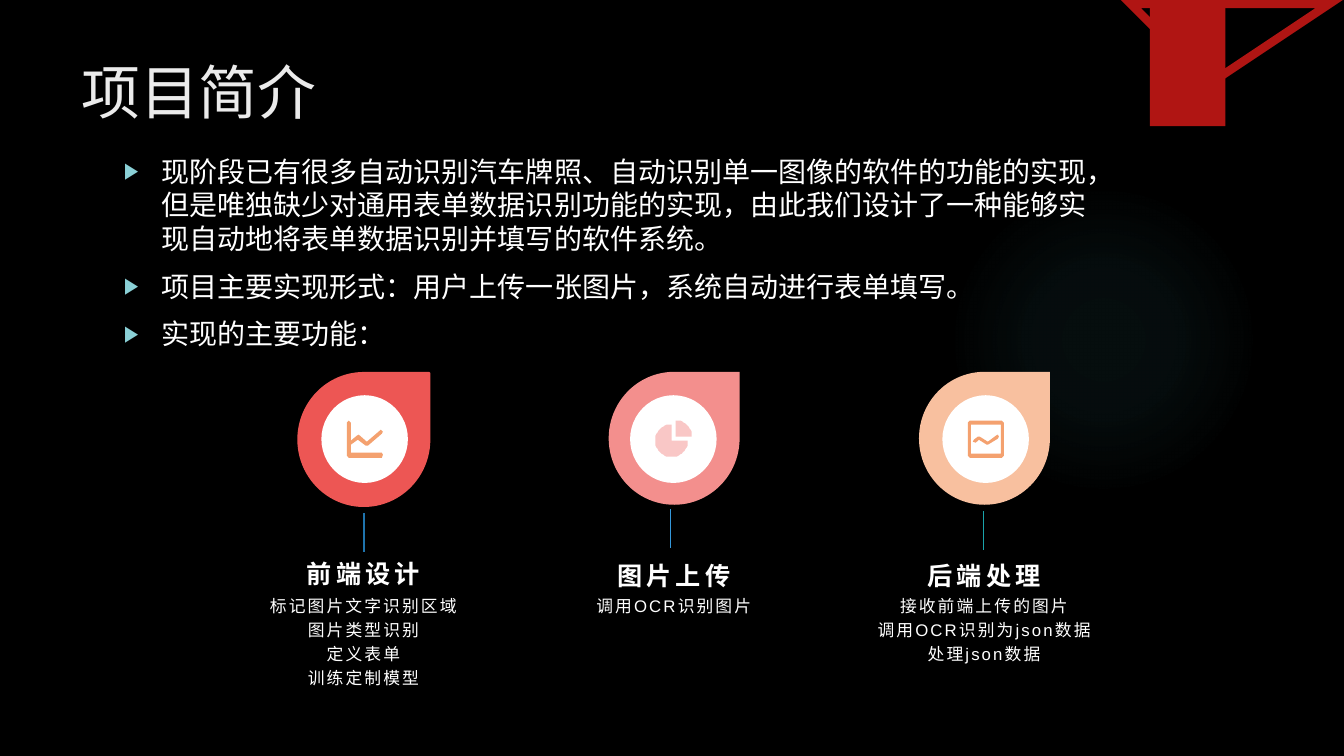
from dataclasses import dataclass
from math import cos, radians, sin

from lxml import etree
from pptx import Presentation
from pptx import util as u
from pptx.dml.color import RGBColor
from pptx.enum import shapes, text
from pptx.oxml import ns

BLACK = RGBColor(0x00, 0x00, 0x00)
WHITE = RGBColor(0xFF, 0xFF, 0xFF)
PALE = RGBColor(0xEB, 0xEB, 0xEB)
RED = RGBColor(0xB0, 0x15, 0x13)
AQUA = RGBColor(0x8A, 0xD0, 0xD6)
TEAL = RGBColor(0x50, 0xB9, 0xC1)
CORAL = RGBColor(0xED, 0x56, 0x54)
PINK = RGBColor(0xF3, 0x8F, 0x8D)
PEACH = RGBColor(0xF8, 0xC0, 0x9F)
ORANGE = RGBColor(0xF4, 0xA1, 0x6F)
BLUSH = RGBColor(0xF9, 0xC7, 0xC6)
NAVY = RGBColor(0x1F, 0x74, 0xAD)
BLUE = RGBColor(0x34, 0x98, 0xDB)
CYAN = RGBColor(0x1A, 0xA3, 0xAA)

Points = list[tuple[float, float]]


@dataclass
class Style:
    font: str
    size: float
    color: RGBColor
    bold: bool = False
    track: int = 0  # hundredths of a point
    lead: float = 1.0
    align: text.PP_ALIGN = text.PP_ALIGN.LEFT


@dataclass
class Part:
    head: str
    lines: list[str]
    color: RGBColor
    drop: float  # top of the teardrop
    disc: float  # left of the white disc
    stem: tuple[float, float]
    ink: RGBColor  # stem colour
    title: float  # top of the heading
    icon: list[Points]
    tint: RGBColor  # icon colour
    edge: float = 0


def arc(x: float, y: float, start: int, end: int, radius: float = 16.5) -> Points:
    """Sector outline, clockwise, beginning at its centre."""
    turns = [radians(a) for a in range(start, end + 1, 6)]
    return [(x, y)] + [(x + radius * cos(t), y + radius * sin(t)) for t in turns]


# Icon outlines on a 36-unit grid
CHART = [[(35, 13), (21, 25), (19, 25), (11, 19), (4, 24), (4, 32), (35, 32),
          (36, 34), (35, 37), (2, 37), (0, 35), (0, 2), (2, 0), (4, 2), (4, 20),
          (10, 15), (12, 14), (20, 21), (34, 9), (36, 11)]]
PIE = [arc(20, 16, -90, 0), arc(16, 20, 0, 270)]
FRAME = [[(2, 0), (34, 0), (36, 2), (36, 35), (34, 37), (2, 37), (0, 35), (0, 2)],
         [(3, 4), (3, 33), (33, 33), (33, 4)],
         [(6, 19), (10, 16), (12, 16), (20, 21), (28, 15), (30, 14), (31, 16),
          (30, 18), (20, 24), (19, 24), (11, 19), (8, 22), (5, 21)]]

PARTS = [
    Part("前端设计", ["标记图片文字识别区域", "图片类型识别", "定义表单", "训练定制模型"],
         CORAL, 9.4, 8.1, (9.17, 12.93), NAVY, 13.69, CHART, ORANGE, 1.5),
    Part("图片上传", ["调用OCR识别图片"],
         PINK, 9.37, 15.88, (16.89, 12.83), BLUE, 13.74, PIE, BLUSH),
    Part("后端处理", ["接收前端上传的图片", "调用OCR识别为json数据", "处理json数据"],
         PEACH, 9.37, 23.75, (24.79, 12.88), CYAN, 13.74, FRAME, ORANGE),
]
INTRO = [
    "现阶段已有很多自动识别汽车牌照、自动识别单一图像的软件的功能的实现，但是唯独缺少对通用表单数据识别功能的实现，由此我们设计了一种能够实现自动地将表单数据识别并填写的软件系统。",
    "项目主要实现形式：用户上传一张图片，系统自动进行表单填写。",
    "实现的主要功能：",
]
TITLE = Style("Quicksand", 42, PALE)
BODY = Style("Quicksand", 20, WHITE)
HEAD = Style("Arial", 18, WHITE, True, 300, 1.2, text.PP_ALIGN.CENTER)
NOTE = Style("Arial", 12, WHITE, False, 150, 1.2, text.PP_ALIGN.CENTER)


def tag(parent, name: str, **attrs: str):
    return etree.SubElement(parent, ns.qn(name), attrs)


def paint(shape, color: RGBColor | None, edge: RGBColor | None = None, width: float = 0) -> None:
    shape.shadow.inherit = False
    if color is None:
        shape.fill.background()
    else:
        shape.fill.solid()
        shape.fill.fore_color.rgb = color
    if width:
        shape.line.color.rgb = edge
        shape.line.width = u.Pt(width)
    else:
        shape.line.fill.background()


def block(slide, kind, x: float, y: float, w: float, h: float, color, width: float = 0):
    shape = slide.shapes.add_shape(kind, u.Cm(x), u.Cm(y), u.Cm(w), u.Cm(h))
    paint(shape, color, color, width)
    return shape


def outline(slide, x: float, y: float, unit: float, loops: list[Points]):
    """Closed outlines measured from x, y; unit is in centimetres."""
    first, *rest = loops
    pen = slide.shapes.build_freeform(*first[0], scale=u.Cm(unit))
    pen.add_line_segments(first[1:])
    for loop in rest:
        pen.move_to(*loop[0])
        pen.add_line_segments(loop[1:])
    return pen.convert_to_shape(u.Cm(x), u.Cm(y))


def write(slide, x: float, y: float, w: float, h: float, lines: list[str], style: Style):
    frame = slide.shapes.add_textbox(u.Cm(x), u.Cm(y), u.Cm(w), u.Cm(h)).text_frame
    frame.word_wrap = True
    frame.text = "\n".join(lines)
    for para in frame.paragraphs:
        para.alignment = style.align
        para.line_spacing = style.lead
        for run in para.runs:
            run.font.name = style.font
            run.font.size = u.Pt(style.size)
            run.font.bold = style.bold
            run.font.color.rgb = style.color
            run.font._element.set("spc", str(style.track))
    return frame


def bullet(para) -> None:
    para.space_before = u.Pt(10)
    props = para._p.get_or_add_pPr()
    props.set("marL", str(u.Cm(0.95)))
    props.set("indent", str(-u.Cm(0.95)))
    tag(tag(props, "a:buClr"), "a:srgbClr", val=str(AQUA))
    tag(props, "a:buSzPct", val="80000")
    tag(props, "a:buFont", typeface="Arial")
    tag(props, "a:buChar", char="▶")


def glow(slide) -> None:
    shape = block(slide, shapes.MSO_SHAPE.OVAL, 23.9, 4.65, 7.82, 7.82, TEAL)
    old = shape._element.spPr.find(ns.qn("a:solidFill"))
    grad = etree.Element(ns.qn("a:gradFill"))
    stops = tag(grad, "a:gsLst")
    for place, alpha in ((0, 7), (36, 6), (69, 0)):
        stop = tag(stops, "a:gs", pos=str(place * 1000))
        tag(tag(stop, "a:srgbClr", val=str(TEAL)), "a:alpha", val=str(alpha * 1000))
    way = tag(grad, "a:path", path="circle")
    tag(way, "a:fillToRect", l="50000", t="50000", r="50000", b="50000")
    old.getparent().replace(old, grad)


def draw(slide, part: Part, left: float) -> None:
    note = write(slide, left, 14.91, 7.04, 3, part.lines, NOTE)
    note.margin_top = 0
    head = write(slide, left, part.title, 7.04, 1.14, [part.head], HEAD)
    head.margin_bottom = 0
    head.vertical_anchor = text.MSO_ANCHOR.BOTTOM
    block(slide, shapes.MSO_SHAPE.TEAR, left + 1.88, part.drop, 3.3, 3.35, part.color, part.edge)
    x, y = part.stem
    stem = slide.shapes.add_connector(
        shapes.MSO_CONNECTOR.STRAIGHT, u.Cm(x), u.Cm(y), u.Cm(x), u.Cm(y + 0.99))
    stem.line.color.rgb = part.ink
    stem.line.width = u.Pt(1)
    tag(stem._element.spPr, "a:effectLst")
    block(slide, shapes.MSO_SHAPE.OVAL, part.disc, 9.96, 2.18, 2.21, WHITE)
    paint(outline(slide, part.disc + 0.64, 10.6, 0.91 / 36, part.icon), part.tint)


def main() -> None:
    deck = Presentation()
    deck.slide_width, deck.slide_height = u.Cm(33.87), u.Cm(19.05)
    slide = deck.slides.add_slide(deck.slide_layouts[6])
    slide.background.fill.solid()
    slide.background.fill.fore_color.rgb = BLACK

    # Backdrop
    glow(slide)
    block(slide, shapes.MSO_SHAPE.RECTANGLE, 28.98, 0, 1.9, 3.18, RED)
    wedge = outline(slide, 28.5, 0.1, 1, [[(0, 0), (4.7, 0), (2.35, 2.36)]])
    paint(wedge, None, RED, 6)
    tag(wedge.line._get_or_add_ln(), "a:miter", lim="800000")

    # Title and introduction
    write(slide, 1.8, 1.27, 26.14, 3.89, ["项目简介"], TITLE)
    for para in write(slide, 2.87, 3.76, 24.84, 11.66, INTRO, BODY).paragraphs:
        bullet(para)

    # Three functions
    for i, part in enumerate(PARTS):
        draw(slide, part, 5.64 + i * 7.82)

    deck.save("out.pptx")


if __name__ == "__main__":
    main()
